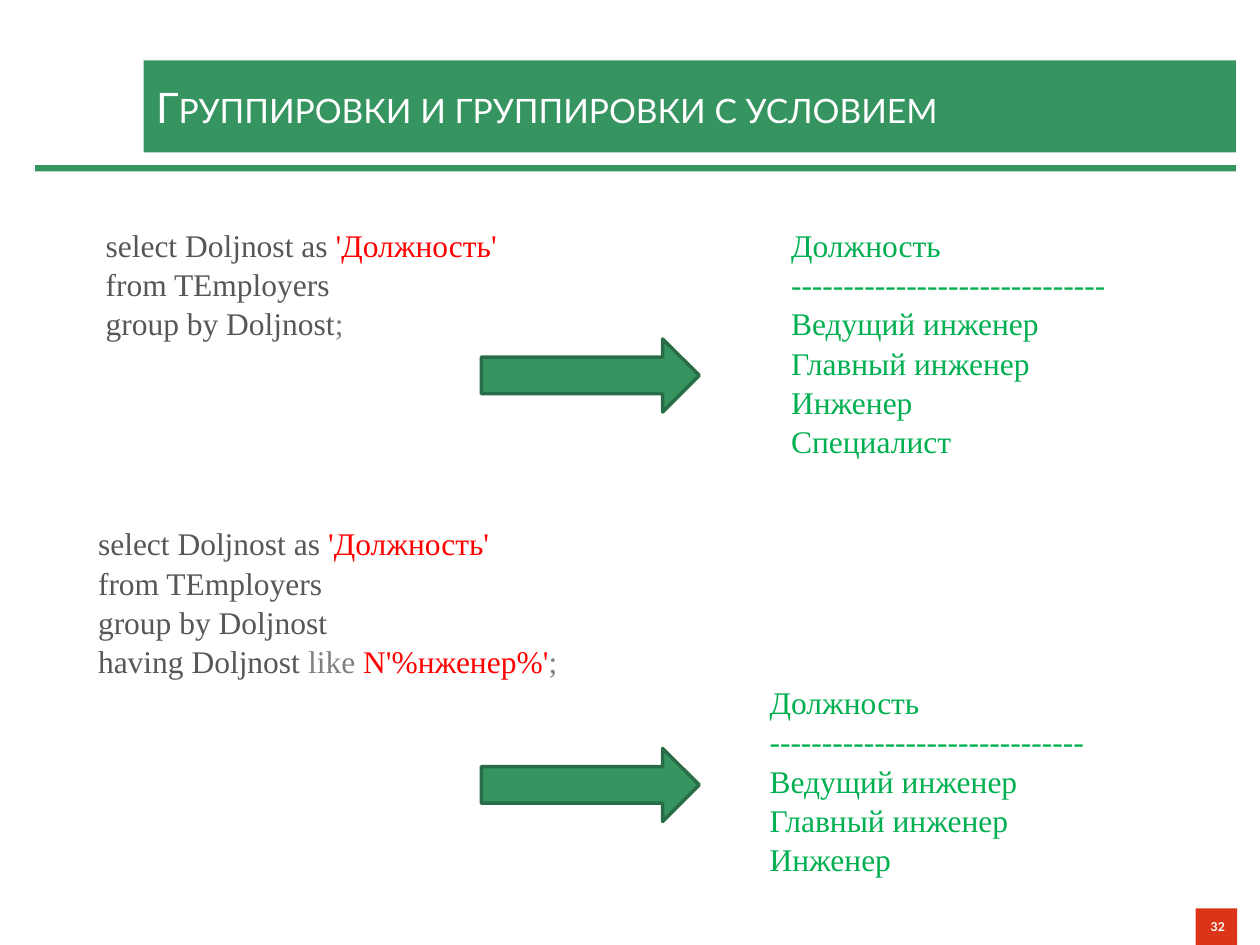
"""Slide on SQL grouping, with and without a condition."""
import pptx
import pptx.dml.color
import pptx.enum.shapes
import pptx.enum.text
import pptx.util

Inches = pptx.util.Inches
Pt = pptx.util.Pt
SHAPES = pptx.enum.shapes.MSO_SHAPE
ALIGN = pptx.enum.text.PP_ALIGN

COLORS = {
    "green": "369461",
    "edge": "286D48",
    "red": "DB3519",
    "white": "FFFFFF",
    "code": "575756",
    "literal": "FF0000",
    "operator": "808080",
    "result": "00B050",
}
SELECT_LINES = [
    [("select Doljnost as ", "code"), ("'Должность'", "literal")],
    [("from TEmployers", "code")],
]
GROUP_QUERY = SELECT_LINES + [[("group by Doljnost", "code"), (";", "operator")]]
HAVING_QUERY = SELECT_LINES + [
    [("group by Doljnost", "code")],
    [
        ("having Doljnost ", "code"),
        ("like", "operator"),
        (" ", "code"),
        ("N'%нженер%'", "literal"),
        (";", "operator"),
    ],
]
HAVING_RESULT = [
    "Должность",
    "-" * 30,
    "Ведущий инженер",
    "Главный инженер",
    "Инженер",
]
GROUP_RESULT = HAVING_RESULT + ["Специалист"]


def rgb(name):
    """Return the named colour."""
    return pptx.dml.color.RGBColor.from_string(COLORS[name])


def add_block(slide, kind, box, fill, edge=None):
    """Add a flat filled shape in the box, outlined if an edge is named."""
    block = slide.shapes.add_shape(kind, *map(Inches, box))
    block.shadow.inherit = False
    block.fill.solid()
    block.fill.fore_color.rgb = rgb(fill)
    if edge:
        block.line.color.rgb = rgb(edge)
        block.line.width = Pt(2)
    else:
        block.line.fill.background()
    return block


def add_label(block, text, size, align, bold=False):
    """Write one white line in a block and return its run."""
    block.text_frame.vertical_anchor = pptx.enum.text.MSO_ANCHOR.MIDDLE
    paragraph = block.text_frame.paragraphs[0]
    paragraph.alignment = align
    run = paragraph.add_run()
    run.text = text
    paragraph.font.name = "Lato"
    paragraph.font.size = Pt(size)
    paragraph.font.bold = bold
    paragraph.font.color.rgb = rgb("white")
    return run


def add_header(slide, box):
    """Add the title band and the rule beneath it."""
    left, top, width, height = box
    indent, band_height, rule_height = 0.86, 0.73, 0.05
    rule_box = (left, top + height - rule_height, width, rule_height)
    add_block(slide, SHAPES.RECTANGLE, rule_box, "green")
    band_box = (left + indent, top, width - indent, band_height)
    band = add_block(slide, SHAPES.RECTANGLE, band_box, "green")
    title = add_label(
        band, "Группировки и группировки с условием", 24, ALIGN.LEFT
    )
    title.font._element.set("cap", "small")


def add_listing(slide, box, lines):
    """Add lines of coloured text, each a list of text and colour pairs."""
    frame = slide.shapes.add_textbox(*map(Inches, box)).text_frame
    frame.word_wrap = True
    for index, line in enumerate(lines):
        paragraph = frame.add_paragraph() if index else frame.paragraphs[0]
        paragraph.alignment = ALIGN.JUSTIFY
        paragraph.line_spacing = 1.04
        paragraph.font.name = "Times New Roman"
        paragraph.font.size = Pt(18)
        for text, color in line:
            run = paragraph.add_run()
            run.text = text
            run.font.color.rgb = rgb(color)


def add_example(slide, query_box, query, arrow_top, result_box, result):
    """Add a query, an arrow and the rows the query returns."""
    add_listing(slide, query_box, query)
    add_listing(slide, result_box, [[(row, "result")] for row in result])
    arrow_box = (3.82, arrow_top, 1.73, 0.58)
    add_block(slide, SHAPES.RIGHT_ARROW, arrow_box, "green", "edge")


def add_page_number(slide, box):
    """Add the red page number tile."""
    tile = add_block(slide, SHAPES.RECTANGLE, box, "red")
    add_label(tile, "32", 7, ALIGN.RIGHT, bold=True)


def main():
    """Build and save the slide."""
    deck = pptx.Presentation()
    deck.slide_width, deck.slide_height = Inches(10), Inches(7.5)
    slide = deck.slides.add_slide(deck.slide_layouts[6])
    add_header(slide, (0.28, 0.48, 9.53, 0.88))
    add_page_number(slide, (9.49, 7.21, 0.33, 0.29))
    add_example(
        slide, (0.74, 1.73, 4.03, 1.01), GROUP_QUERY,
        2.69, (6.18, 1.73, 2.85, 1.92), GROUP_RESULT,
    )
    add_example(
        slide, (0.68, 4.1, 4.72, 1.31), HAVING_QUERY,
        5.94, (6.01, 5.36, 3.2, 1.62), HAVING_RESULT,
    )
    deck.save("out.pptx")


if __name__ == "__main__":
    main()
